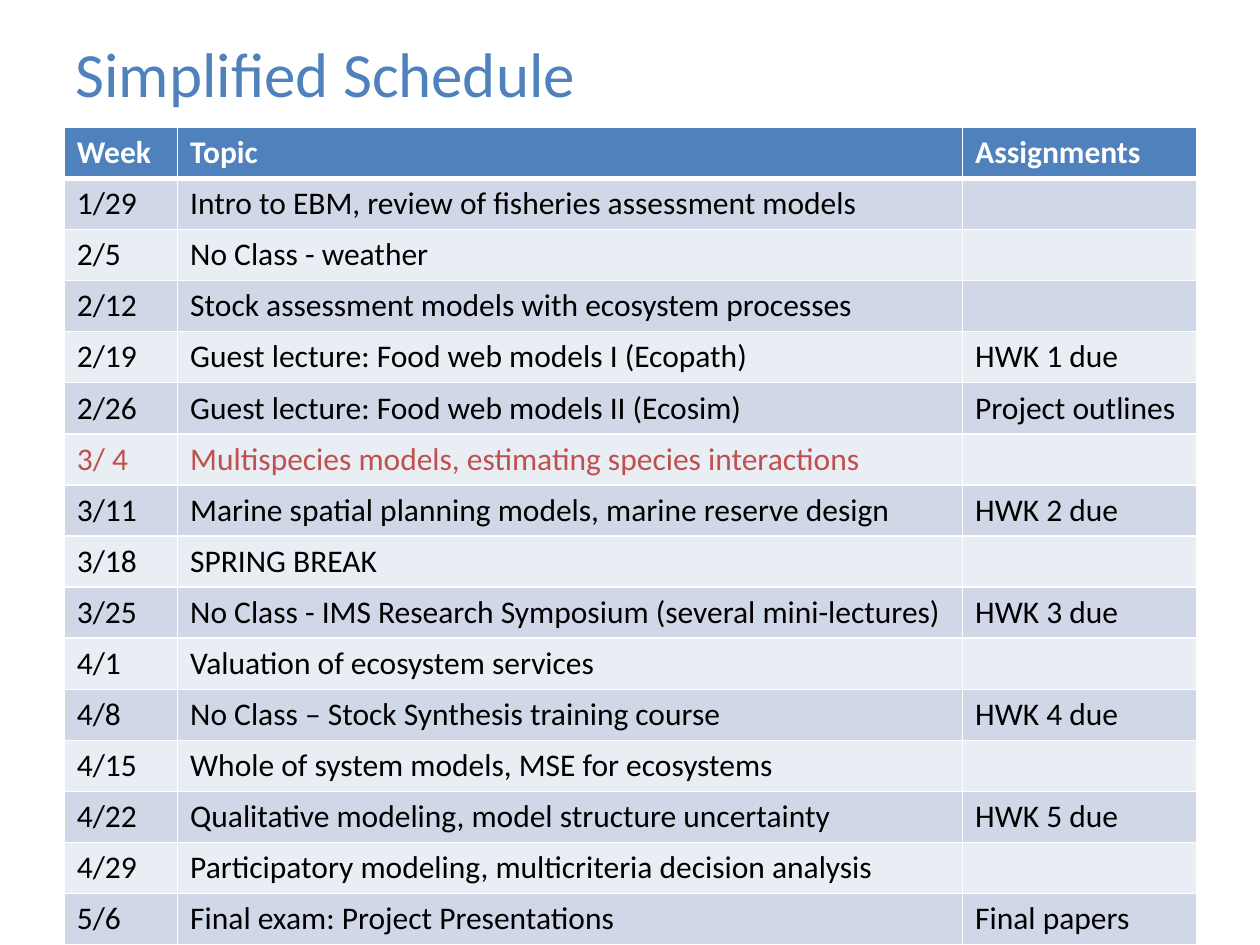
from lxml import etree
from pptx import Presentation
from pptx.dml.color import RGBColor
from pptx.enum.text import MSO_ANCHOR, PP_ALIGN
from pptx.oxml.ns import qn
from pptx.util import Inches, Pt

BLUE = RGBColor(0x4F, 0x81, 0xBD)
RED = RGBColor(0xC0, 0x50, 0x4D)
BLACK = RGBColor(0x00, 0x00, 0x00)
WHITE = RGBColor(0xFF, 0xFF, 0xFF)
BAND_DARK = RGBColor(0xD0, 0xD8, 0xE8)
BAND_LIGHT = RGBColor(0xE9, 0xED, 0xF4)

COLUMN_WIDTHS = [0.9, 6.23, 1.86]
ROW_HEIGHT = 0.4
CURRENT_WEEK = "3/ 4"
SCHEDULE = [
    ("Week", "Topic", "Assignments"),
    ("1/29", "Intro to EBM, review of fisheries assessment models", ""),
    ("2/5", "No Class - weather", ""),
    ("2/12", "Stock assessment models with ecosystem processes", ""),
    ("2/19", "Guest lecture: Food web models I (Ecopath)", "HWK 1 due"),
    ("2/26", "Guest lecture: Food web models II (Ecosim)", "Project outlines"),
    (CURRENT_WEEK, "Multispecies models, estimating species interactions", ""),
    ("3/11", "Marine spatial planning models, marine reserve design", "HWK 2 due"),
    ("3/18", "SPRING BREAK", ""),
    ("3/25", "No Class - IMS Research Symposium (several mini-lectures)", "HWK 3 due"),
    ("4/1", "Valuation of ecosystem services", ""),
    ("4/8", "No Class – Stock Synthesis training course", "HWK 4 due"),
    ("4/15", "Whole of system models, MSE for ecosystems", ""),
    ("4/22", "Qualitative modeling, model structure uncertainty", "HWK 5 due"),
    ("4/29", "Participatory modeling, multicriteria decision analysis", ""),
    ("5/6", "Final exam: Project Presentations", "Final papers"),
]


class SlideBuilder:
    font_name = "Calibri"
    title_size = Pt(36)
    table_size = Pt(18)

    def __init__(self, deck):
        self.page = deck.slides.add_slide(deck.slide_layouts[5])

    def format_text(self, frame, size, color, bold=False):
        for para in frame.paragraphs:
            para.alignment = PP_ALIGN.LEFT
            for span in para.runs:
                span.font.name = self.font_name
                span.font.size = size
                span.font.bold = bold
                span.font.color.rgb = color

    def title(self, text, left, top, width, height):
        box = self.page.shapes.title
        box.left, box.top = Inches(left), Inches(top)
        box.width, box.height = Inches(width), Inches(height)
        frame = box.text_frame
        frame.text = text
        frame.vertical_anchor = MSO_ANCHOR.MIDDLE
        self.format_text(frame, self.title_size, BLUE)

    def borders(self, cell, top=1, bottom=1):
        """Draw white cell borders; top and bottom are widths in points."""
        properties = cell._tc.get_or_add_tcPr()
        for side, width in (("L", 1), ("R", 1), ("T", top), ("B", bottom)):
            line = etree.SubElement(properties, qn(f"a:ln{side}"), w=str(Pt(width)))
            fill = etree.SubElement(line, qn("a:solidFill"))
            etree.SubElement(fill, qn("a:srgbClr"), val=str(WHITE))

    def cell(self, cell, text, fill, color, bold, top, bottom):
        self.borders(cell, top, bottom)
        cell.fill.solid()
        cell.fill.fore_color.rgb = fill
        cell.text_frame.text = text
        self.format_text(cell.text_frame, self.table_size, color, bold)

    def table(self, rows, left, top, widths, row_height):
        frame = self.page.shapes.add_table(
            len(rows), len(widths), Inches(left), Inches(top),
            Inches(sum(widths)), Inches(row_height * len(rows)))
        table = frame.table
        table.horz_banding = False
        for column, width in zip(table.columns, widths):
            column.width = Inches(width)
        for index, values in enumerate(rows):
            header = index == 0
            if header:
                fill, color = BLUE, WHITE
            else:
                fill = BAND_DARK if index % 2 else BAND_LIGHT
                color = RED if values[0] == CURRENT_WEEK else BLACK
            for cell, text in zip(table.rows[index].cells, values):
                self.cell(cell, text, fill, color, bold=header,
                          top=3 if index == 1 else 1, bottom=3 if header else 1)


def main():
    deck = Presentation()
    deck.slide_width, deck.slide_height = Inches(10), Inches(7.5)
    builder = SlideBuilder(deck)
    builder.title("Simplified Schedule", 0.5, 0.2, 9, 0.75)
    builder.table(SCHEDULE, 0.51, 1.01, COLUMN_WIDTHS, ROW_HEIGHT)
    deck.save("out.pptx")


if __name__ == "__main__":
    main()
